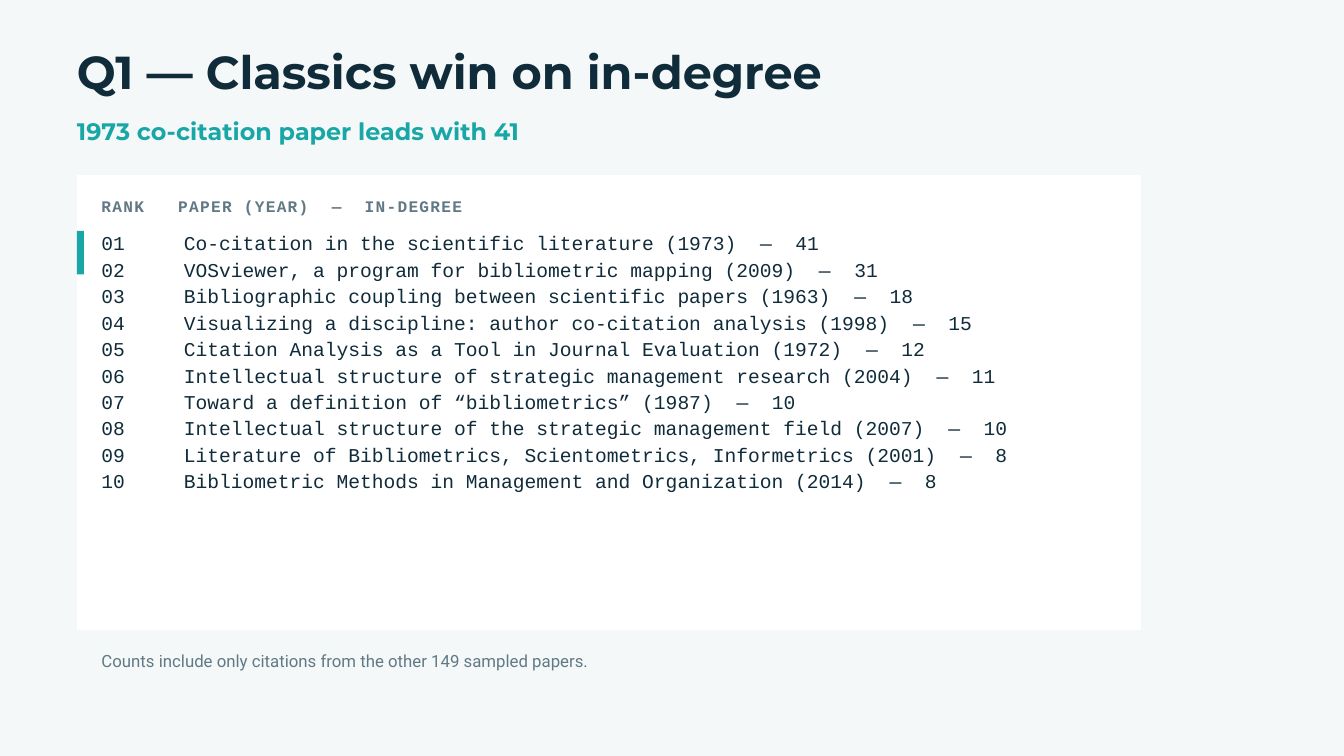
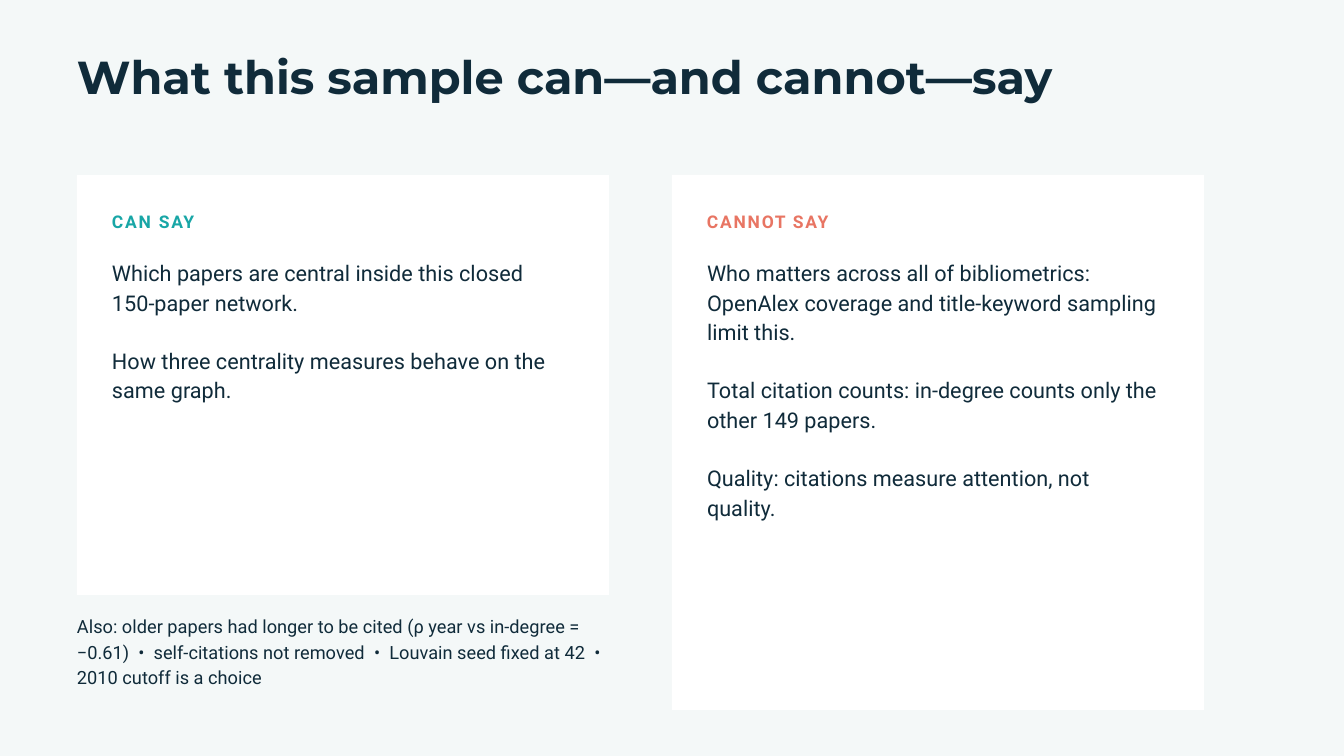
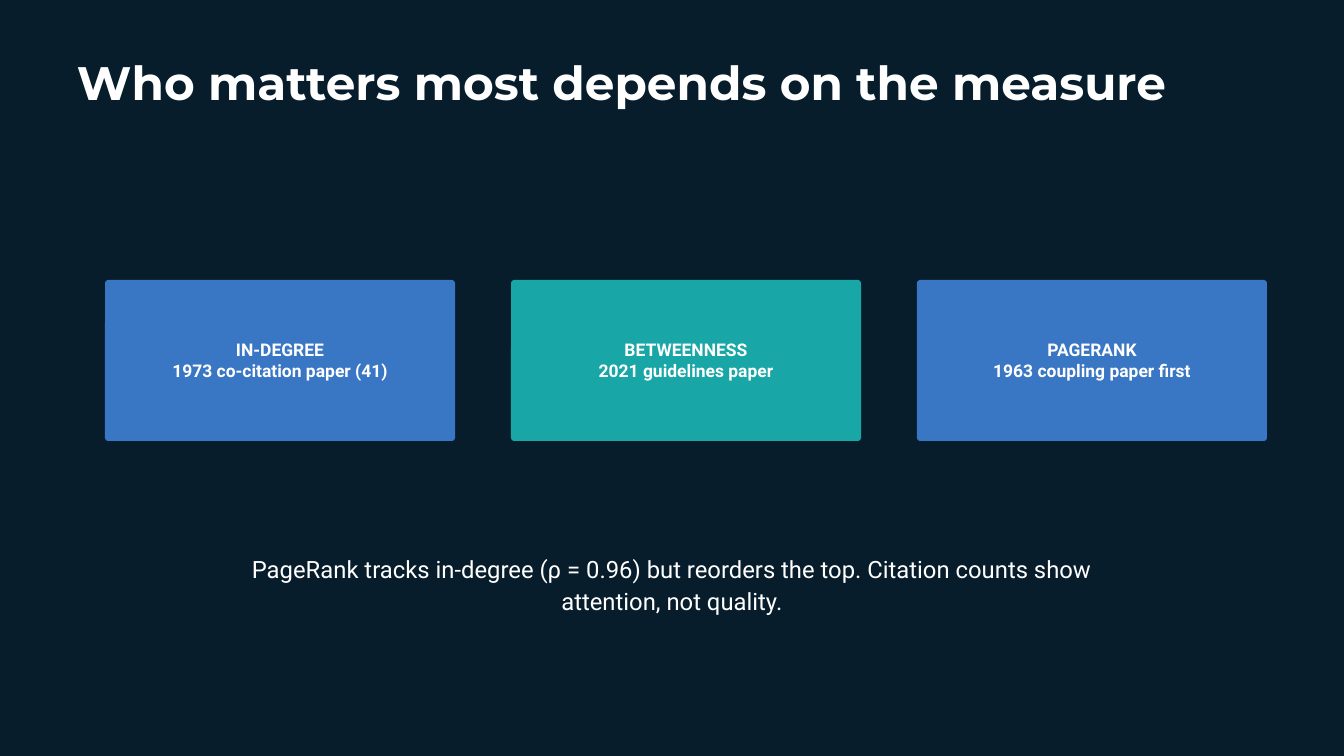
import dataclasses

import lxml.etree
import pptx
import pptx.dml.color
import pptx.enum.shapes
import pptx.enum.text
import pptx.oxml.ns
import pptx.util

RGBColor = pptx.dml.color.RGBColor
ALIGN = pptx.enum.text.PP_ALIGN
ANCHOR = pptx.enum.text.MSO_ANCHOR
SHAPE = pptx.enum.shapes.MSO_SHAPE

# Shared colours
PALE = RGBColor(0xF4, 0xF8, 0xF8)
NIGHT = RGBColor(0x07, 0x1D, 0x2B)
INK = RGBColor(0x10, 0x2B, 0x3A)
SLATE = RGBColor(0x61, 0x79, 0x85)
TEAL = RGBColor(0x18, 0xA6, 0xA6)
CORAL = RGBColor(0xE8, 0x75, 0x63)
BLUE = RGBColor(0x39, 0x76, 0xC4)
WHITE = RGBColor(0xFF, 0xFF, 0xFF)

LEFT = 110  # common left margin
TOP = 250  # top of the white panels


@dataclasses.dataclass(frozen=True)
class Style:
    font: str
    size: float
    leading: float  # line height as a share of the size
    color: RGBColor
    bold: bool = False
    tracking: float = 0
    spaced: bool = False  # a line's height between paragraphs
    align: ALIGN = ALIGN.LEFT
    space: float = 0  # width of a space as a share of the size
    field_gaps: tuple = ()  # spaces between the fields of a line


# Text styles
TITLE = Style("Montserrat", 49.5, 1.04, INK, bold=True)
CLOSING_TITLE = dataclasses.replace(TITLE, size=50.25, color=WHITE)
SUBTITLE = Style("Montserrat", 25.5, 1.4, TEAL, bold=True)
COLUMN_HEADS = Style("Courier New", 17.25, 1.4, SLATE, bold=True,
                     tracking=1.38, space=0.6, field_gaps=(3, 2, 2))
RANKING = Style("Courier New", 21, 1.35, INK, space=0.6, field_gaps=(5, 2, 2))
NOTE = Style("Roboto", 18, 1.25, SLATE)
CAN_HEAD = Style("Roboto", 18.75, 1.4, TEAL, bold=True, tracking=1.88)
CANNOT_HEAD = dataclasses.replace(CAN_HEAD, color=CORAL)
CLAIMS = Style("Roboto", 23.25, 1.35, INK, spaced=True)
CAVEATS = Style("Roboto", 19.5, 1.4, INK, space=0.25, field_gaps=(2,) * 6)
MEASURE = Style("Roboto", 18.75, 1.15, WHITE, bold=True, align=ALIGN.CENTER)
TAKEAWAY = Style("Roboto", 25.5, 1.35, WHITE, align=ALIGN.CENTER)

# Content: fields of a line are parted by tabs
PAPERS = [
    ("Co-citation in the scientific literature (1973)", 41),
    ("VOSviewer, a program for bibliometric mapping (2009)", 31),
    ("Bibliographic coupling between scientific papers (1963)", 18),
    ("Visualizing a discipline: author co-citation analysis (1998)", 15),
    ("Citation Analysis as a Tool in Journal Evaluation (1972)", 12),
    ("Intellectual structure of strategic management research (2004)", 11),
    ("Toward a definition of “bibliometrics” (1987)", 10),
    ("Intellectual structure of the strategic management field (2007)", 10),
    ("Literature of Bibliometrics, Scientometrics, Informetrics (2001)", 8),
    ("Bibliometric Methods in Management and Organization (2014)", 8),
]
CAN_SAY = [
    "Which papers are central inside this closed 150-paper network.",
    "How three centrality measures behave on the same graph.",
]
CANNOT_SAY = [
    "Who matters across all of bibliometrics: OpenAlex coverage and "
    "title-keyword sampling limit this.",
    "Total citation counts: in-degree counts only the other 149 papers.",
    "Quality: citations measure attention, not quality.",
]
ALSO = [
    "Also: older papers had longer to be cited (ρ year vs in-degree = −0.61)",
    "self-citations not removed",
    "Louvain seed fixed at 42",
    "2010 cutoff is a choice",
]
WINNERS = [
    ("IN-DEGREE", "1973 co-citation paper (41)", BLUE),
    ("BETWEENNESS", "2021 guidelines paper", TEAL),
    ("PAGERANK", "1963 coupling paper first", BLUE),
]


def px(length):
    return pptx.util.Emu(length * 9525)


def add_run(paragraph, text, tracking):
    run = paragraph.add_run()
    run.text = text
    if tracking:
        run._r.get_or_add_rPr().set("spc", str(round(tracking * 100)))


def add_fields(paragraph, line, style):
    """Write the fields of a line, each after one widened space."""
    first, *others = line.split("\t")
    add_run(paragraph, first, style.tracking)
    advance = style.space * style.size + style.tracking
    for field, spaces in zip(others, style.field_gaps):
        add_run(paragraph, " ", style.tracking + (spaces - 1) * advance)
        add_run(paragraph, field, style.tracking)


def write(frame, lines, style, anchor=ANCHOR.TOP, inset=0):
    frame.word_wrap = True
    frame.auto_size = pptx.enum.text.MSO_AUTO_SIZE.NONE
    frame.vertical_anchor = anchor
    frame.margin_left = frame.margin_right = px(inset)
    frame.margin_top = frame.margin_bottom = px(inset)
    leading = pptx.util.Pt(style.size * style.leading)
    for index, line in enumerate(lines):
        paragraph = frame.add_paragraph() if index else frame.paragraphs[0]
        add_fields(paragraph, line, style)
        properties = paragraph._p.get_or_add_pPr()
        properties.set("marL", "0")
        properties.set("indent", "0")
        lxml.etree.SubElement(properties, pptx.oxml.ns.qn("a:buNone"))
        paragraph.alignment = style.align
        paragraph.line_spacing = leading
        paragraph.space_before = leading if style.spaced and index else 0
        paragraph.font.name = style.font
        paragraph.font.size = pptx.util.Pt(style.size)
        paragraph.font.bold = style.bold
        paragraph.font.color.rgb = style.color


def fill_placeholder(holder, box, lines, style):
    holder.left, holder.top, holder.width, holder.height = map(px, box)
    write(holder.text_frame, lines, style)


def add_text(slide, box, line, style):
    label = slide.shapes.add_textbox(*map(px, box))
    write(label.text_frame, [line], style)


def add_block(slide, box, color, preset=SHAPE.RECTANGLE):
    block = slide.shapes.add_shape(preset, *map(px, box))
    block.shadow.inherit = False
    block.fill.solid()
    block.fill.fore_color.rgb = color
    block.line.fill.background()
    return block


def add_panel(slide, box):
    """Put a white panel behind the slide's text."""
    panel = add_block(slide, box, WHITE).element
    panel.getparent().insert(2, panel)


def start_slide(deck, layout, background, title, box, style):
    slide = deck.slides.add_slide(deck.slide_layouts.get_by_name(layout))
    slide.background.fill.solid()
    slide.background.fill.fore_color.rgb = background
    fill_placeholder(slide.shapes.title, box, [title], style)
    return slide


def build_ranking(deck):
    slide = start_slide(deck, "Title and Content", PALE,
                        "Q1 — Classics win on in-degree",
                        (LEFT, 73, 1450, 70), TITLE)
    add_text(slide, (LEFT, 160, 1100, 45),
             "1973 co-citation paper leads with 41", SUBTITLE)
    add_panel(slide, (LEFT, TOP, 1520, 650))
    add_text(slide, (145, 276, 1300, 32),
             "RANK\tPAPER (YEAR)\t—\tIN-DEGREE", COLUMN_HEADS)
    rows = [f"{rank:02}\t{paper}\t—\t{count}"
            for rank, (paper, count) in enumerate(PAPERS, 1)]
    fill_placeholder(slide.placeholders[1], (145, 326, 1380, 370), rows, RANKING)
    add_text(slide, (145, 929, 1400, 30),
             "Counts include only citations from the other 149 sampled papers.",
             NOTE)
    # Marker beside the leading paper
    add_block(slide, (LEFT, 330, 10, 62), TEAL)


def build_limits(deck):
    slide = start_slide(deck, "Two Content", PALE,
                        "What this sample can—and cannot—say",
                        (LEFT, 80, 1600, 70), TITLE)
    columns = [
        (LEFT, 600, "CAN SAY", CAN_HEAD, CAN_SAY, 203),
        (960, 764, "CANNOT SAY", CANNOT_HEAD, CANNOT_SAY, 285),
    ]
    for index, (left, height, head, style, claims, depth) in enumerate(columns, 1):
        add_panel(slide, (left, TOP, 760, height))
        add_text(slide, (left + 50, 297, 650, 33), head, style)
        fill_placeholder(slide.placeholders[index],
                         (left + 50, 367, 650, depth), claims, CLAIMS)
    add_text(slide, (LEFT, 874, 760, 108), "\t•\t".join(ALSO), CAVEATS)


def build_closing(deck):
    slide = start_slide(deck, "Title Only", NIGHT,
                        "Who matters most depends on the measure",
                        (LEFT, 88, 1650, 72), CLOSING_TITLE)
    for index, (measure, winner, color) in enumerate(WINNERS):
        card = add_block(slide, (150 + 580 * index, 400, 500, 230), color,
                         SHAPE.ROUNDED_RECTANGLE)
        card.adjustments[0] = 0.02
        write(card.text_frame, [measure, winner], MEASURE, ANCHOR.MIDDLE, 6)
    add_text(slide, (290, 787, 1340, 88),
             "PageRank tracks in-degree (ρ = 0.96) but reorders the top. "
             "Citation counts show attention, not quality.", TAKEAWAY)


def main():
    deck = pptx.Presentation()
    deck.slide_width, deck.slide_height = px(1920), px(1080)
    build_ranking(deck)
    build_limits(deck)
    build_closing(deck)
    deck.save("out.pptx")


if __name__ == "__main__":
    main()
